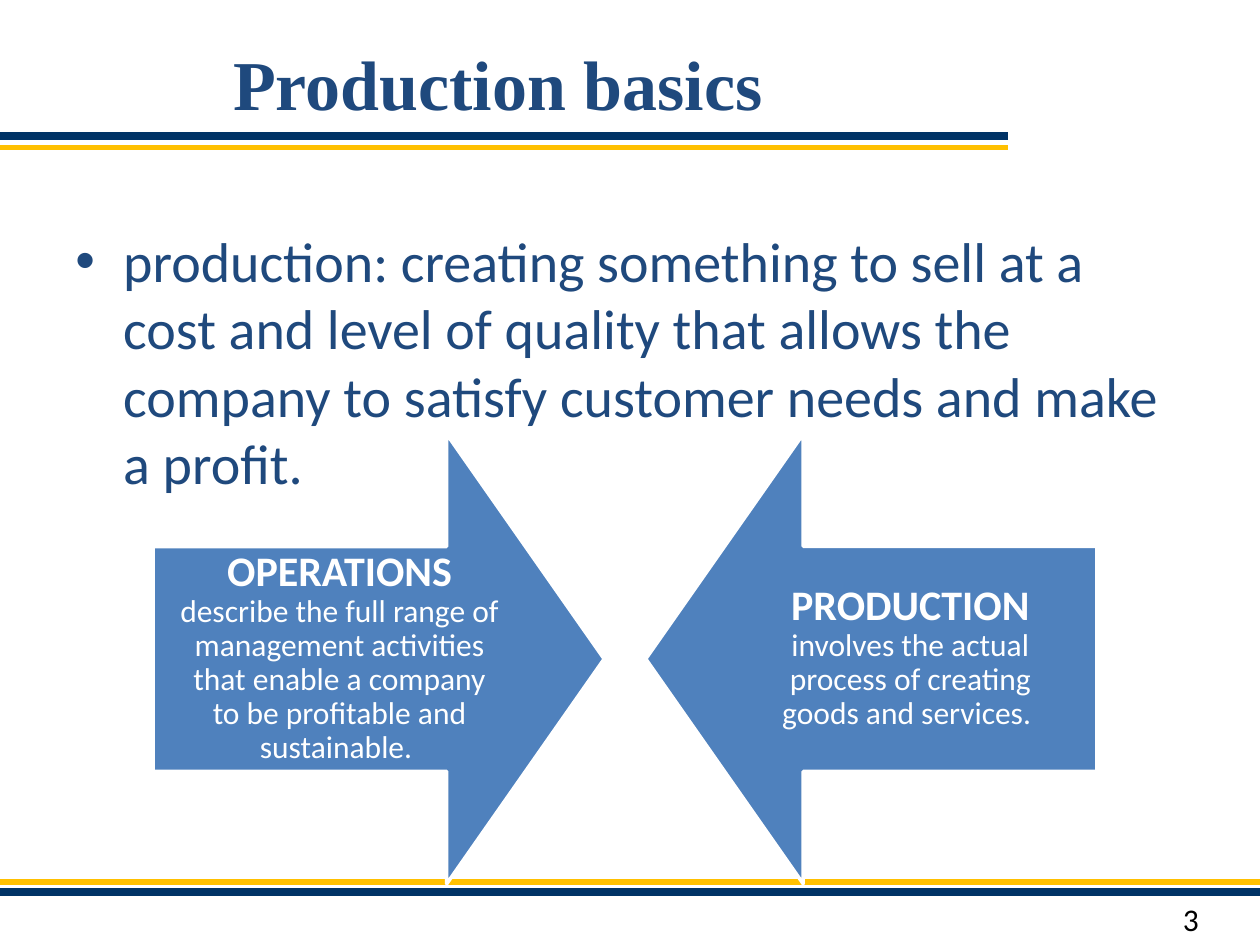
import dataclasses

import lxml.etree
import pptx
import pptx.dml.color
import pptx.enum.shapes
import pptx.enum.text
import pptx.oxml.ns
import pptx.util

RGBColor = pptx.dml.color.RGBColor
Align = pptx.enum.text.PP_ALIGN
Anchor = pptx.enum.text.MSO_ANCHOR
Inches = pptx.util.Inches
Pt = pptx.util.Pt

NAVY = RGBColor(0x00, 0x33, 0x66)
GOLD = RGBColor(0xFF, 0xC0, 0x00)
INK = RGBColor(0x1F, 0x49, 0x7D)
BLUE = RGBColor(0x4F, 0x81, 0xBD)
WHITE = RGBColor(0xFF, 0xFF, 0xFF)
BLACK = RGBColor(0x00, 0x00, 0x00)

SLIDE_WIDTH, SLIDE_HEIGHT = 10, 7.5
ARROW_TOP, ARROW_WIDTH, ARROW_HEIGHT = 3.44, 3.57, 3.58
LABEL_TOP, LABEL_WIDTH, LABEL_HEIGHT = 4.33, 2.95, 1.78


@dataclasses.dataclass(frozen=True)
class Rule:
    """Horizontal rule: height on the slide, share of its width, look."""
    top: float
    share: float
    color: RGBColor
    weight: float


@dataclasses.dataclass(frozen=True)
class ArrowCard:
    """Block arrow with a label at its flat end."""
    arrow_left: float
    label_left: float
    rotation: int
    term: str
    meaning: str


RULES = [
    Rule(1.08, 0.8, NAVY, 4.5),
    Rule(1.17, 0.8, GOLD, 3),
    Rule(7.00, 1.0, GOLD, 3),
    Rule(7.08, 1.0, NAVY, 4.5),
]

CARDS = [
    ArrowCard(1.22, 1.22, 270, "OPERATIONS",
              "describe the full range of management activities that enable "
              "a company to be profitable and sustainable. "),
    ArrowCard(5.13, 5.13 + ARROW_WIDTH - LABEL_WIDTH, 90, "PRODUCTION",
              "involves the actual process of creating goods and services. "),
]


def add_span(para, text: str, *, size: float, color: RGBColor,
             font: str = "Calibri", bold: bool = False) -> None:
    span = para.add_run()
    span.text = text
    span.font.name = font
    span.font.size = Pt(size)
    span.font.bold = bold
    span.font.color.rgb = color


def add_box(shapes, left: float, top: float, width: float, height: float):
    box = shapes.add_textbox(Inches(left), Inches(top), Inches(width), Inches(height))
    box.text_frame.word_wrap = True
    return box


def add_rule(page, rule: Rule) -> None:
    line = page.shapes.add_connector(
        pptx.enum.shapes.MSO_CONNECTOR.STRAIGHT, 0, Inches(rule.top),
        Inches(SLIDE_WIDTH * rule.share), Inches(rule.top))
    line.line.color.rgb = rule.color
    line.line.width = Pt(rule.weight)
    lxml.etree.SubElement(line._element.spPr, pptx.oxml.ns.qn("a:effectLst"))


def add_bullet(para, indent: float) -> None:
    properties = para._p.get_or_add_pPr()
    properties.set("marL", str(Inches(indent)))
    properties.set("indent", str(-Inches(indent)))
    font = lxml.etree.SubElement(properties, pptx.oxml.ns.qn("a:buFont"))
    font.set("typeface", "Arial")
    bullet = lxml.etree.SubElement(properties, pptx.oxml.ns.qn("a:buChar"))
    bullet.set("char", "•")


def add_card(shapes, card: ArrowCard) -> None:
    arrow = shapes.add_shape(
        pptx.enum.shapes.MSO_SHAPE.DOWN_ARROW, Inches(card.arrow_left),
        Inches(ARROW_TOP), Inches(ARROW_WIDTH), Inches(ARROW_HEIGHT))
    arrow.rotation = card.rotation
    arrow.adjustments[0] = 0.5
    arrow.adjustments[1] = 0.35
    arrow.shadow.inherit = False
    arrow.fill.solid()
    arrow.fill.fore_color.rgb = BLUE
    arrow.line.color.rgb = WHITE
    arrow.line.width = Pt(2)

    label = add_box(shapes, card.label_left, LABEL_TOP, LABEL_WIDTH, LABEL_HEIGHT)
    frame = label.text_frame
    frame.vertical_anchor = Anchor.MIDDLE
    frame.margin_left = frame.margin_right = Inches(0.19)
    frame.margin_top = frame.margin_bottom = Inches(0.19)
    para = frame.paragraphs[0]
    para.alignment = Align.CENTER
    para.line_spacing = 0.9
    add_span(para, card.term, size=24, color=WHITE, bold=True)
    add_span(para, " ", size=18, color=WHITE, bold=True)
    add_span(para, card.meaning, size=18, color=WHITE)


def main() -> None:
    deck = pptx.Presentation()
    deck.slide_width = Inches(SLIDE_WIDTH)
    deck.slide_height = Inches(SLIDE_HEIGHT)
    page = deck.slides.add_slide(deck.slide_layouts.get_by_name("Title Only"))

    # Rules under the title and above the footer
    for rule in RULES:
        add_rule(page, rule)

    # Page number
    number = add_box(page.shapes, 9.29, 7.09, 0.71, 0.4)
    add_span(number.text_frame.paragraphs[0], "3", size=18, color=BLACK)

    # Title
    title = page.shapes.title
    title.left, title.top = Inches(0.28), Inches(0.22)
    title.width, title.height = Inches(7.48), Inches(0.87)
    title.text_frame.auto_size = pptx.enum.text.MSO_AUTO_SIZE.NONE
    title.text_frame.vertical_anchor = Anchor.MIDDLE
    para = title.text_frame.paragraphs[0]
    para.alignment = Align.CENTER
    add_span(para, "Production basics ", size=40, color=INK,
             font="Times New Roman", bold=True)

    # Definition
    body = add_box(page.shapes, 0.5, 1.75, 9, 4.95)
    para = body.text_frame.paragraphs[0]
    para.space_before = Pt(2)
    add_bullet(para, 0.38)
    add_span(para, "production: creating something to sell at a cost and level "
             "of quality that allows the company to satisfy customer needs and "
             "make a profit.", size=32, color=INK)

    # Facing arrows
    diagram = page.shapes.add_group_shape()
    for card in CARDS:
        add_card(diagram.shapes, card)

    deck.save("out.pptx")


if __name__ == "__main__":
    main()
